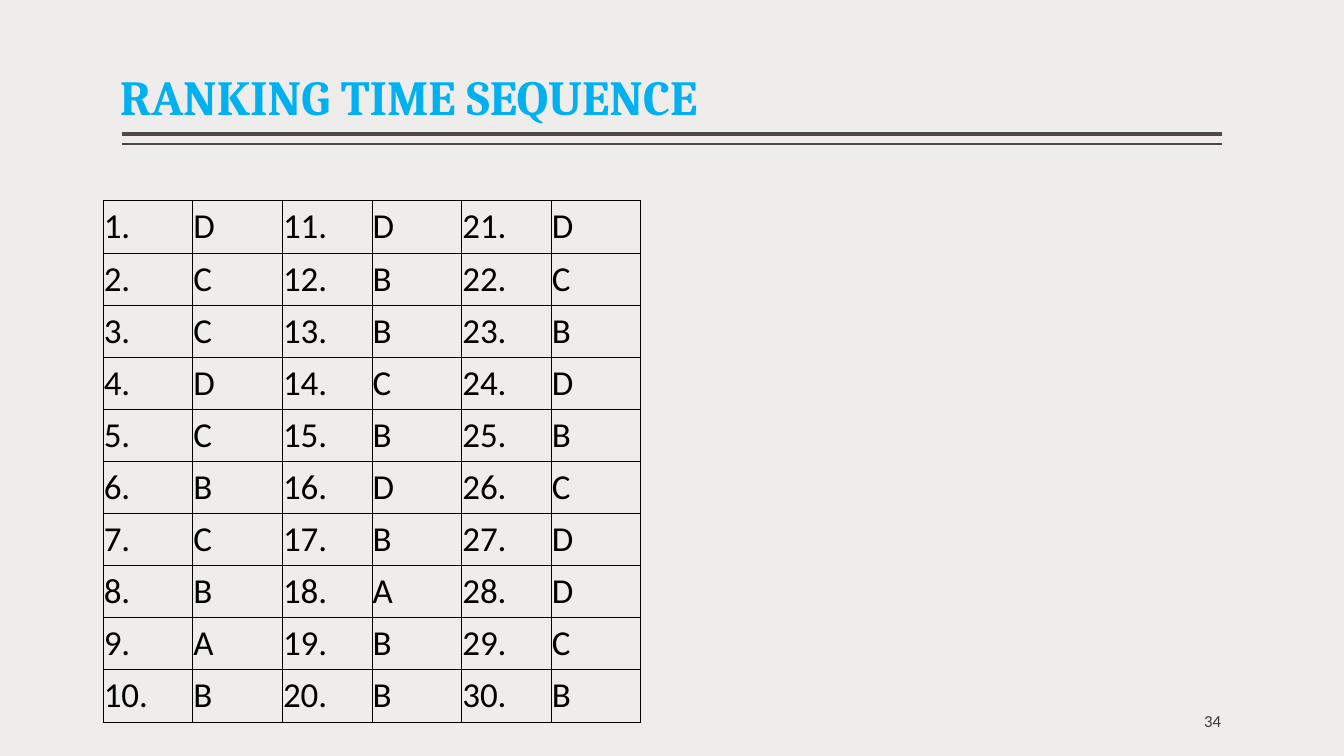
from lxml import etree
from pptx import Presentation
from pptx.dml.color import RGBColor
from pptx.enum.shapes import MSO_CONNECTOR
from pptx.enum.text import MSO_ANCHOR, MSO_AUTO_SIZE, PP_ALIGN
from pptx.oxml.ns import qn
from pptx.util import Pt

PX = 9144
STRAIGHT = MSO_CONNECTOR.STRAIGHT
TOP, MIDDLE = MSO_ANCHOR.TOP, MSO_ANCHOR.MIDDLE
LEFT, RIGHT = PP_ALIGN.LEFT, PP_ALIGN.RIGHT
GROW = MSO_AUTO_SIZE.SHAPE_TO_FIT_TEXT
PAPER = RGBColor(0xEE, 0xED, 0xEC)
RULE = RGBColor(0x51, 0x48, 0x43)
BLUE = RGBColor(0x00, 0xB0, 0xF0)
BROWN = RGBColor(0x3D, 0x36, 0x32)
BLACK = RGBColor(0, 0, 0)
ANSWERS = ["DCCDCBCBAB", "DBBCBDBABB", "DCBDBCDDCB"]


def write(tf, text, size, color, font="Calibri", bold=False, align=LEFT):
    p = tf.paragraphs[0]
    p.alignment = align
    r = p.add_run()
    r.text = text
    r.font.name = font
    r.font.size = Pt(size)
    r.font.bold = bold
    r.font.color.rgb = color


def add_borders(cell):
    tcPr = cell._tc.get_or_add_tcPr()
    for i, side in enumerate(("a:lnL", "a:lnR", "a:lnT", "a:lnB")):
        ln = etree.Element(qn(side), w=str(Pt(0.23)))
        fill = etree.SubElement(ln, qn("a:solidFill"))
        etree.SubElement(fill, qn("a:srgbClr"), val=str(BLACK))
        tcPr.insert(i, ln)


prs = Presentation()
prs.slide_width, prs.slide_height = 1334 * PX, 750 * PX
s = prs.slides.add_slide(prs.slide_layouts[5])
s.background.fill.solid()
s.background.fill.fore_color.rgb = PAPER

for y, width in ((133, 3), (143, 1)):
    line = s.shapes.add_connector(STRAIGHT, 1213 * PX, y * PX, 121 * PX, y * PX)
    line.line.color.rgb = RULE
    line.line.width = Pt(width)
    etree.SubElement(line._element.spPr, qn("a:effectLst"))

title = s.shapes.title
title.left, title.top, title.width, title.height = 109 * PX, 61 * PX, 834 * PX, 69 * PX
tf = title.text_frame
tf.vertical_anchor = TOP
tf.auto_size = GROW
write(tf, "RANKING TIME SEQUENCE", 35, BLUE, font="Cambria", bold=True)

table = s.shapes.add_table(10, 6, 102 * PX, 199 * PX, 534 * PX, 430 * PX).table
table.first_row = False
table.horz_banding = False
for col in table.columns:
    col.width = 89 * PX
for block, letters in enumerate(ANSWERS):
    for row, letter in enumerate(letters):
        for col, text in enumerate((f"{block * 10 + row + 1}.", letter)):
            cell = table.cell(row, block * 2 + col)
            cell.margin_left = cell.margin_right = PX
            cell.vertical_anchor = MIDDLE
            cell.fill.background()
            add_borders(cell)
            write(cell.text_frame, text, 25, BLACK)

number = s.shapes.add_textbox(1012 * PX, 695 * PX, 200 * PX, 40 * PX)
tf = number.text_frame
tf.word_wrap = True
tf.margin_left = tf.margin_right = 0
tf.vertical_anchor = MIDDLE
write(tf, "34", 12, BROWN, align=RIGHT)

prs.save("out.pptx")
